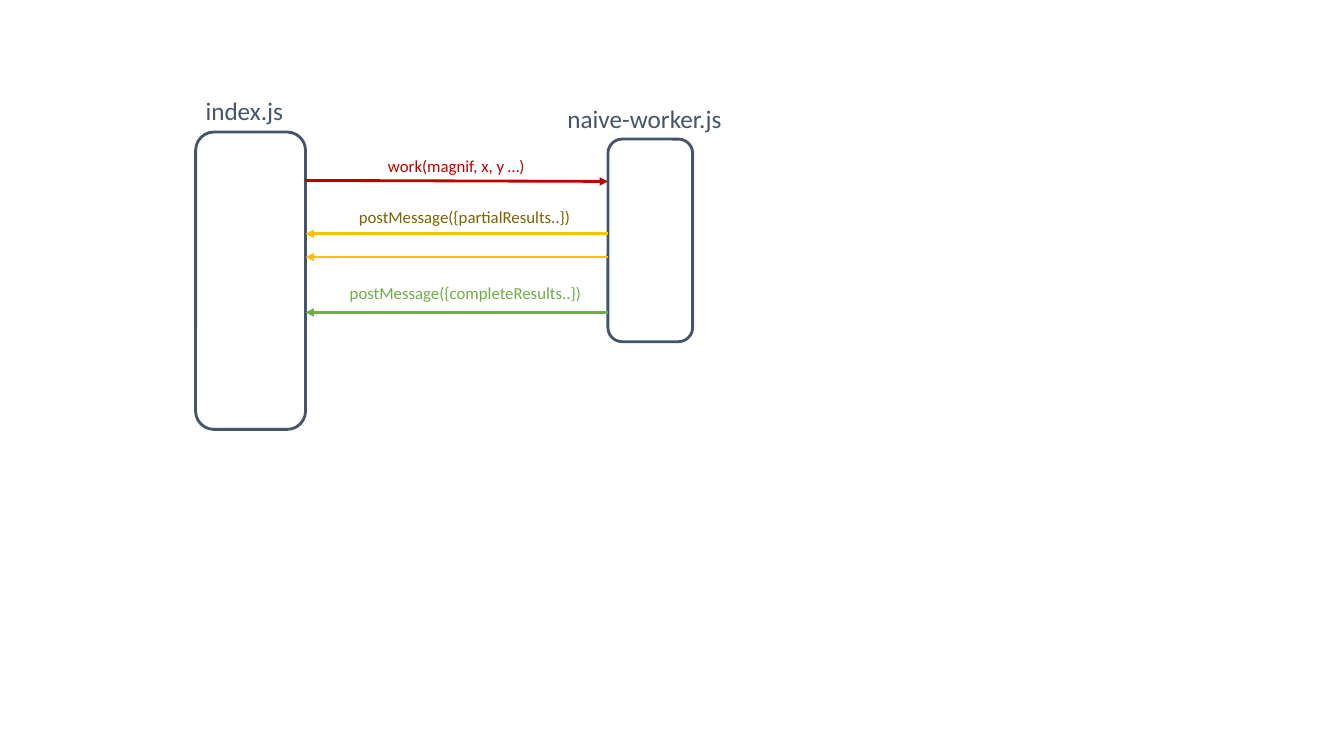
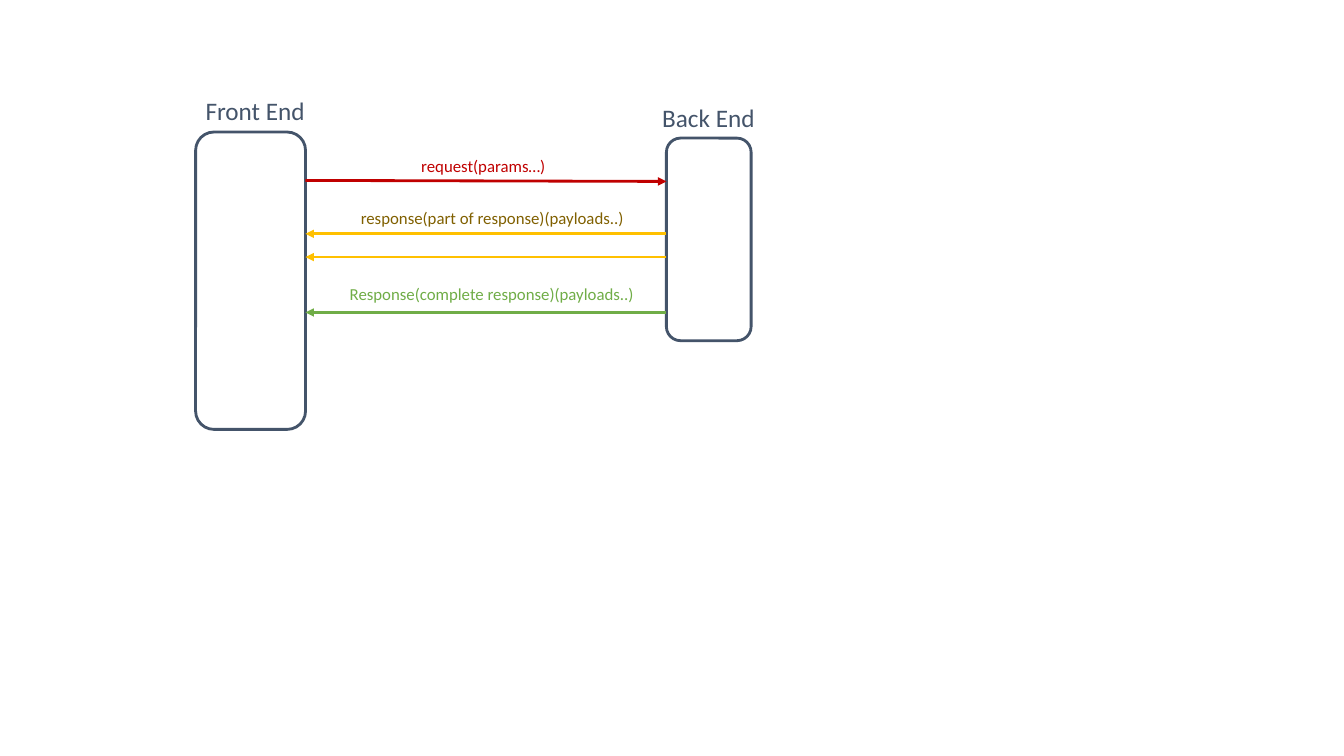
"""Build two sequence diagrams of a caller and a worker exchanging messages."""
from lxml import etree
from pptx import Presentation
from pptx.dml.color import RGBColor
from pptx.enum.shapes import MSO_CONNECTOR, MSO_SHAPE
from pptx.enum.text import MSO_AUTO_SIZE
from pptx.oxml.ns import qn
from pptx.util import Inches, Pt

STRAIGHT = MSO_CONNECTOR.STRAIGHT
ROUNDED_RECTANGLE = MSO_SHAPE.ROUNDED_RECTANGLE
FIT_SHAPE = MSO_AUTO_SIZE.SHAPE_TO_FIT_TEXT

FONT = "Calibri"
SLATE, RED, GOLD, BROWN, GREEN = "44546A", "C00000", "FFC000", "806000", "70AD47"
LINE_WIDTH = Pt(2)

CALLER_LEFT, CALLER_TOP, CALLER_WIDTH, CALLER_HEIGHT = 1.94, 1.31, 1.09, 2.95
CALLER_RIGHT = CALLER_LEFT + CALLER_WIDTH
WORKER_WIDTH, WORKER_HEIGHT = 0.84, 2.01
REPLIES = [(2.32, GOLD), (2.55, GOLD), (3.1, GREEN)]

DIAGRAMS = [
    {
        "worker": (6.03, 1.38),
        "titles": [("index.js", 1.94, 0.9, 0.98), ("naive-worker.js", 5.53, 0.98, 1.74)],
        "messages": [
            ("work(magnif, x, y …)", 3.75, 1.5, 1.57, RED),
            ("postMessage({partialResults..})", 3.46, 2, 2.32, BROWN),
            ("postMessage({completeResults..})", 3.37, 2.76, 2.52, GREEN),
        ],
    },
    {
        "worker": (6.61, 1.37),
        "titles": [("Front End", 1.94, 0.9, 1.2), ("Back End", 6.47, 0.97, 1.13)],
        "messages": [
            ("request(params…)", 4.08, 1.5, 1.44, RED),
            ("response(part of response)(payloads..)", 3.48, 2.01, 2.84, BROWN),
            ("Response(complete response)(payloads..)", 3.37, 2.77, 3.05, GREEN),
        ],
    },
]


def color(hex_value):
    return RGBColor.from_string(hex_value)


def add_label(slide, text, left, top, width, height, size, hex_value):
    label = slide.shapes.add_textbox(Inches(left), Inches(top), Inches(width), Inches(height))
    frame = label.text_frame
    frame.word_wrap = False
    frame.auto_size = FIT_SHAPE
    frame.text = text
    font = frame.paragraphs[0].runs[0].font
    font.name = FONT
    font.size = Pt(size)
    font.color.rgb = color(hex_value)


presentation = Presentation()
presentation.slide_width = Inches(13.33)
presentation.slide_height = Inches(7.5)
blank_layout = presentation.slide_layouts[6]

for diagram in DIAGRAMS:
    slide = presentation.slides.add_slide(blank_layout)
    worker_left, worker_top = diagram["worker"]

    boxes = [
        (CALLER_LEFT, CALLER_TOP, CALLER_WIDTH, CALLER_HEIGHT),
        (worker_left, worker_top, WORKER_WIDTH, WORKER_HEIGHT),
    ]
    for box in boxes:
        shape = slide.shapes.add_shape(ROUNDED_RECTANGLE, *map(Inches, box))
        shape.shadow.inherit = False
        shape.fill.background()
        shape.line.color.rgb = color(SLATE)
        shape.line.width = LINE_WIDTH

    for text, left, top, width in diagram["titles"]:
        add_label(slide, text, left, top, width, 0.4, 18, SLATE)

    arrows = [(CALLER_RIGHT, 1.79, worker_left, 1.8, RED)]
    arrows += [(worker_left, y, CALLER_RIGHT, y, hex_value) for y, hex_value in REPLIES]
    for *ends, hex_value in arrows:
        arrow = slide.shapes.add_connector(STRAIGHT, *map(Inches, ends))
        arrow.line.color.rgb = color(hex_value)
        arrow.line.width = LINE_WIDTH
        etree.SubElement(arrow.line._get_or_add_ln(), qn("a:tailEnd"), type="triangle")
        etree.SubElement(arrow._element.spPr, qn("a:effectLst"))

    for text, left, top, width, hex_value in diagram["messages"]:
        add_label(slide, text, left, top, width, 0.3, 12, hex_value)

presentation.save("out.pptx")
